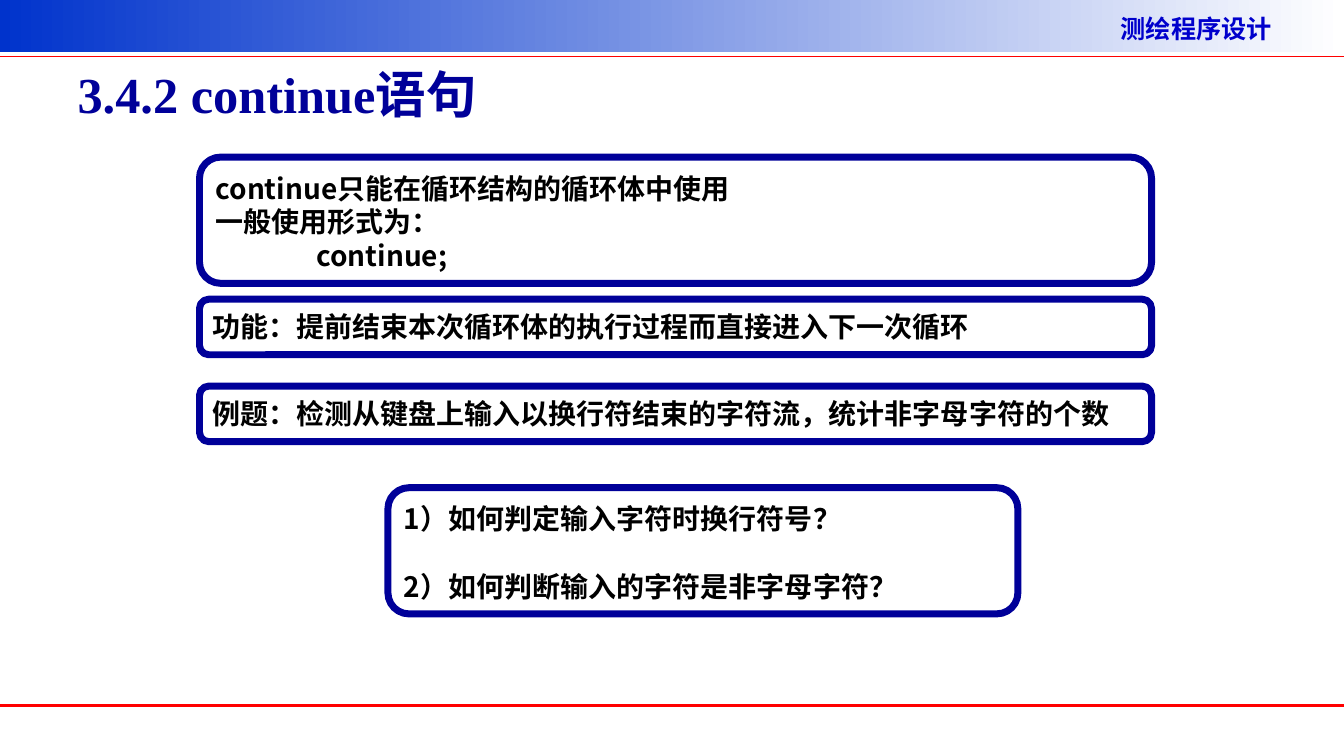
import dataclasses

import pptx
import pptx.dml.color
import pptx.enum.shapes
import pptx.enum.text
import pptx.oxml
import pptx.oxml.ns
import pptx.util

Cm = pptx.util.Cm
Pt = pptx.util.Pt
SANS = "Noto Sans CJK SC"
SERIF = "Times New Roman"
NAVY = "000099"
WIDE = 33.88


@dataclasses.dataclass
class Line:
    text: str
    indent: float = 0
    before: float = 0


@dataclasses.dataclass
class Box:
    left: float
    top: float
    width: float
    height: float
    lines: list[Line]


@dataclasses.dataclass
class Rule:
    top: float
    weight: float


RULES = [Rule(1.42, 1), Rule(17.78, 2.25)]
BOXES = [
    Box(5.03, 3.96, 24, 3.18, [
        Line("continue只能在循环结构的循环体中使用"),
        Line("一般使用形式为："),
        Line("continue;", indent=2.54),
    ]),
    Box(5.03, 7.54, 24, 1.4, [
        Line("功能：提前结束本次循环体的执行过程而直接进入下一次循环"),
    ]),
    Box(5.03, 9.73, 24, 1.4, [
        Line("例题：检测从键盘上输入以换行符结束的字符流，统计非字母字符的个数"),
    ]),
    Box(9.78, 12.29, 15.88, 3.18, [
        Line("1）如何判定输入字符时换行符号？"),
        Line("2）如何判断输入的字符是非字母字符？", before=24),
    ]),
]


def paint(color, code: str) -> None:
    color.rgb = pptx.dml.color.RGBColor.from_string(code)


def style(para, size: float, code: str, face: str = SANS) -> None:
    para.alignment = pptx.enum.text.PP_ALIGN.LEFT
    para.font.size = Pt(size)
    para.font.bold = True
    para.font.name = face
    paint(para.font.color, code)
    # East Asian glyphs take their own typeface
    for run in para.runs:
        props = run._r.get_or_add_rPr()
        east = pptx.oxml.parse_xml(
            f'<a:ea {pptx.oxml.ns.nsdecls("a")} typeface="{SANS}"/>')
        props.append(east)


def draw_rule(slide, rule: Rule) -> None:
    line = slide.shapes.add_connector(
        pptx.enum.shapes.MSO_CONNECTOR.STRAIGHT,
        0, Cm(rule.top), Cm(WIDE), Cm(rule.top))
    paint(line.line.color, "FF0000")
    line.line.width = Pt(rule.weight)
    line._element.spPr.append(
        pptx.oxml.parse_xml(f'<a:effectLst {pptx.oxml.ns.nsdecls("a")}/>'))


def draw_box(slide, box: Box) -> None:
    shape = slide.shapes.add_shape(
        pptx.enum.shapes.MSO_SHAPE.ROUNDED_RECTANGLE,
        Cm(box.left), Cm(box.top), Cm(box.width), Cm(box.height))
    shape.shadow.inherit = False
    shape.fill.background()
    paint(shape.line.color, NAVY)
    shape.line.width = Pt(5)
    frame = shape.text_frame
    frame.word_wrap = True
    frame.vertical_anchor = pptx.enum.text.MSO_ANCHOR.TOP
    frame.margin_top = Cm(0.2)
    for i, line in enumerate(box.lines):
        para = frame.add_paragraph() if i else frame.paragraphs[0]
        para.text = line.text
        para.line_spacing = Pt(24)
        para.space_before = Pt(line.before)
        para._p.get_or_add_pPr().set("marL", str(Cm(line.indent)))
        style(para, 20, "000000")


def draw_head(slide) -> None:
    # Gradient band
    band = slide.shapes.add_shape(
        pptx.enum.shapes.MSO_SHAPE.RECTANGLE, 0, 0, Cm(WIDE), Cm(1.32))
    band.shadow.inherit = False
    band.line.fill.background()
    band.fill.gradient()
    band.fill.gradient_angle = 0
    for stop, code in zip(band.fill.gradient_stops, ("0033CC", "FFFFFF")):
        paint(stop.color, code)

    # Course name
    label = slide.shapes.add_textbox(Cm(28), Cm(0.2), Cm(5.8), Cm(1.02))
    label.text_frame.word_wrap = True
    para = label.text_frame.paragraphs[0]
    para.text = "测绘程序设计"
    para.line_spacing = Pt(22)
    style(para, 18, "0000CC")


def draw_title(slide) -> None:
    title = slide.shapes.title
    title.left, title.top = Cm(1.7), Cm(0.76)
    title.width, title.height = Cm(30.48), Cm(3.18)
    frame = title.text_frame
    frame.vertical_anchor = pptx.enum.text.MSO_ANCHOR.MIDDLE
    frame.text = "3.4.2 continue语句"
    style(frame.paragraphs[0], 36, NAVY, SERIF)


def main() -> None:
    deck = pptx.Presentation()
    deck.slide_width, deck.slide_height = Cm(WIDE), Cm(19.05)
    slide = deck.slides.add_slide(deck.slide_layouts.get_by_name("Title Only"))
    draw_head(slide)
    for rule in RULES:
        draw_rule(slide, rule)
    draw_title(slide)
    for box in BOXES:
        draw_box(slide, box)
    deck.save("out.pptx")


if __name__ == "__main__":
    main()
